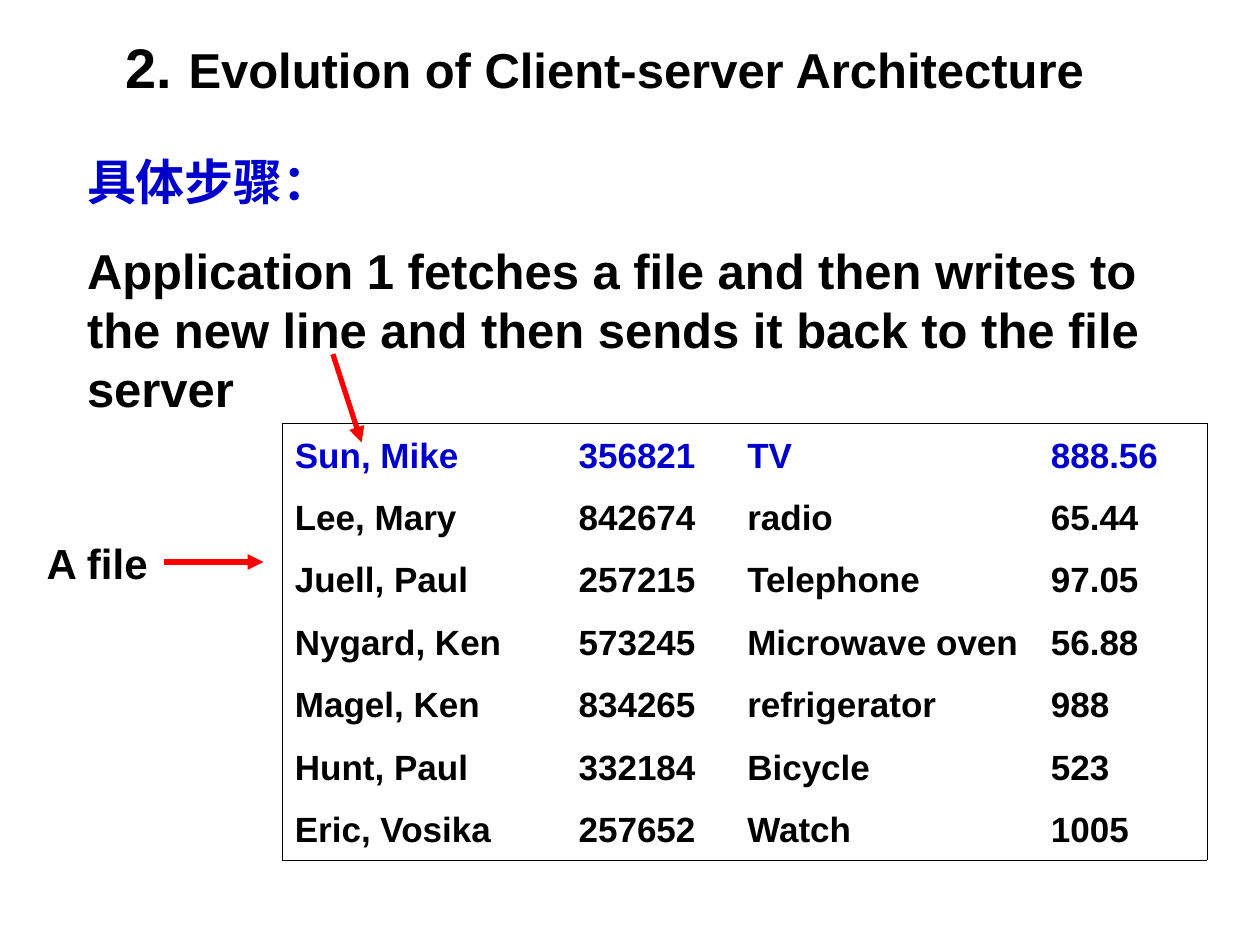
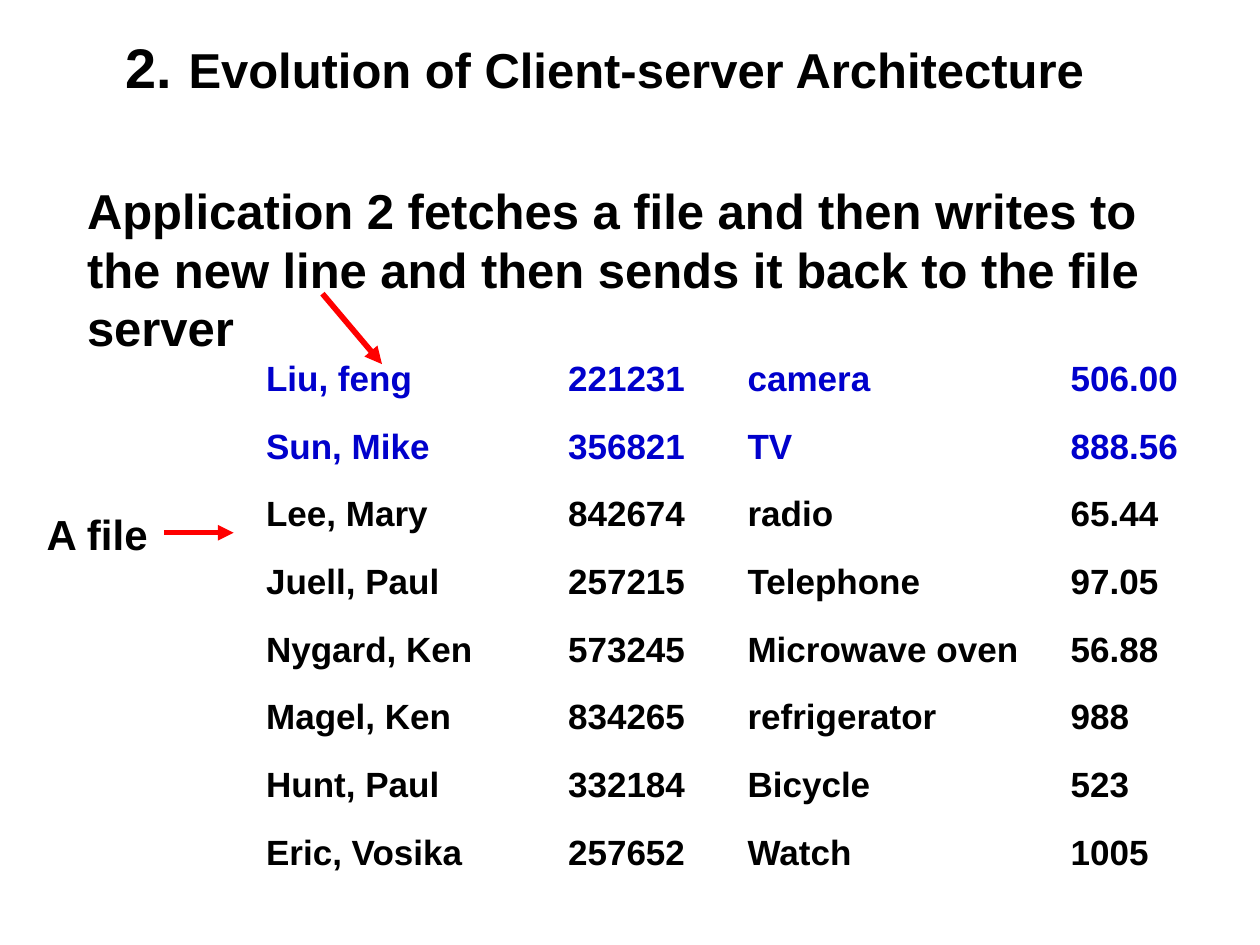
from lxml.etree import SubElement as Sub
from pptx import Presentation
from pptx.dml.color import RGBColor
from pptx.enum.shapes import MSO_CONNECTOR as Link
from pptx.enum.text import MSO_ANCHOR as Anchor, MSO_AUTO_SIZE as Fit, PP_ALIGN as Align
from pptx.oxml.ns import qn
from pptx.util import Cm, Pt

# Shared look
BLACK, BLUE, RED = "000000", "0000CC", "FF0000"
LATIN, HAN = "Arial", "Noto Sans CJK SC"
NO_STYLE = "{2D5ABB26-0587-4C30-8999-92F81FD0307C}"
LEADING = 1.2
COLS = (5.72, 3.4, 6.12, 3.4)

TITLE = "Evolution of Client-server Architecture"
STEPS = "具体步骤："
TASK = ("Application {} fetches a file and then writes to the new line "
        "and then sends it back to the file server")
ROWS = [
    ("Lee, Mary", "842674", "radio", "65.44"),
    ("Juell, Paul", "257215", "Telephone", "97.05"),
    ("Nygard, Ken", "573245", "Microwave oven", "56.88"),
    ("Magel, Ken", "834265", "refrigerator", "988"),
    ("Hunt, Paul", "332184", "Bicycle", "523"),
    ("Eric, Vosika", "257652", "Watch", "1005"),
]
SUN = ("Sun, Mike", "356821", "TV", "888.56")
LIU = ("Liu, feng", "221231", "camera", "506.00")


def paint(color, code):
    color.rgb = RGBColor.from_string(code)


def style(para, size, code=BLACK, before=0):
    """Format a paragraph and its runs in the deck's bold face."""
    para.line_spacing = Pt(size * LEADING)
    para.space_before = Pt(before)
    for run in para.runs:
        font = run.font
        font.size, font.bold, font.name = Pt(size), True, LATIN
        paint(font.color, code)
        Sub(font._element, qn("a:ea"), typeface=HAN)


def place(shape, left, top, width, height):
    shape.left, shape.top = Cm(left), Cm(top)
    shape.width, shape.height = Cm(width), Cm(height)
    frame = shape.text_frame
    frame.auto_size, frame.vertical_anchor = Fit.NONE, Anchor.TOP
    frame.word_wrap = True
    return frame


def add_title(slide):
    frame = place(slide.shapes.title, 2.26, 0.51, 19.86, 1.63)
    frame.word_wrap = False
    frame.text = TITLE
    para = frame.paragraphs[0]
    para.alignment = Align.CENTER
    style(para, 28)
    para.line_spacing = Pt(32 * LEADING)
    # The chapter number is a larger list number
    props = para._p.get_or_add_pPr()
    props.set("marL", str(Cm(1.27)))
    props.set("indent", str(-Cm(1.27)))
    Sub(Sub(props, qn("a:buClr")), qn("a:srgbClr"), val=BLACK)
    Sub(props, qn("a:buSzPct"), val="114000")
    Sub(props, qn("a:buFont"), typeface=LATIN)
    Sub(props, qn("a:buAutoNum"), type="arabicPeriod", startAt="2")


def add_body(slide, top, height, lines):
    frame = place(slide.placeholders[1], 1.5, top, 22.4, height)
    frame.text = "\n".join(text for text, _ in lines)
    for i, (para, (_, code)) in enumerate(zip(frame.paragraphs, lines)):
        props = para._p.get_or_add_pPr()
        props.set("marL", "0")
        props.set("indent", "0")
        Sub(props, qn("a:buNone"))
        style(para, 28, code, 17.5 if i else 0)


def add_arrow(slide, x1, y1, x2, y2, width=3):
    link = slide.shapes.add_connector(
        Link.STRAIGHT, Cm(x1), Cm(y1), Cm(x2), Cm(y2))
    paint(link.line.color, RED)
    link.line.width = Pt(width)
    Sub(link.line._get_or_add_ln(), qn("a:tailEnd"), type="triangle")
    Sub(link._element.spPr, qn("a:effectLst"))


def add_label(slide, left, top, reach):
    """Label the table and point an arrow of the given length at it."""
    frame = place(slide.shapes.add_textbox(0, 0, 0, 0), left, top, 2.8, 1.27)
    frame.text = "A file"
    style(frame.paragraphs[0], 24)
    x, y = left + 2.62, top + 0.61
    add_arrow(slide, x, y, x + reach, y)


def add_edge(cell, side):
    line = Sub(cell._tc.get_or_add_tcPr(), qn("a:ln" + side), w=str(Pt(0.45)))
    Sub(Sub(line, qn("a:solidFill")), qn("a:srgbClr"), val=BLACK)


def add_file(slide, left, top, width, height, rows, fresh, framed=False):
    """Draw the file as a table whose first fresh rows are blue."""
    count = len(rows)
    table = slide.shapes.add_table(
        count, len(COLS), Cm(left), Cm(top), Cm(width), Cm(height)).table
    table._tbl.tblPr.find(qn("a:tableStyleId")).text = NO_STYLE
    table.first_row = table.horz_banding = False
    for col, part in zip(table.columns, COLS):
        col.width = Cm(width * part / sum(COLS))
    for r, row in enumerate(rows):
        table.rows[r].height = Cm(height / count)
        for c, text in enumerate(row):
            cell = table.cell(r, c)
            cell.text = text
            cell.vertical_anchor = Anchor.MIDDLE
            style(cell.text_frame.paragraphs[0], 20, BLUE if r < fresh else BLACK)
            outer = {"L": c == 0, "R": c == len(COLS) - 1,
                     "T": r == 0, "B": r == count - 1}
            for side, edge in outer.items():
                if framed and edge:
                    add_edge(cell, side)
            cell.fill.background()


def new_slide(deck):
    slide = deck.slides.add_slide(deck.slide_layouts[1])
    add_title(slide)
    return slide


def first_step(deck):
    slide = new_slide(deck)
    add_body(slide, 2.92, 5.61, [(STEPS, BLUE), (TASK.format(1), BLACK)])
    add_file(slide, 5.69, 8.53, 18.64, 8.81, [SUN] + ROWS, 1, framed=True)
    add_arrow(slide, 6.71, 7.14, 7.29, 8.92)
    add_label(slide, 0.69, 10.72, 2)


def second_step(deck):
    slide = new_slide(deck)
    add_body(slide, 3.51, 3.81, [(TASK.format(2), BLACK)])
    add_file(slide, 5.11, 6.93, 19.84, 10.92, [LIU, SUN] + ROWS, 2)
    add_arrow(slide, 6.5, 5.92, 7.7, 7.34, 3.25)
    add_label(slide, 0.69, 10.13, 1.4)


def main():
    deck = Presentation()
    deck.slide_width, deck.slide_height = Cm(25.4), Cm(19.05)
    first_step(deck)
    second_step(deck)
    deck.save("out.pptx")


if __name__ == "__main__":
    main()
